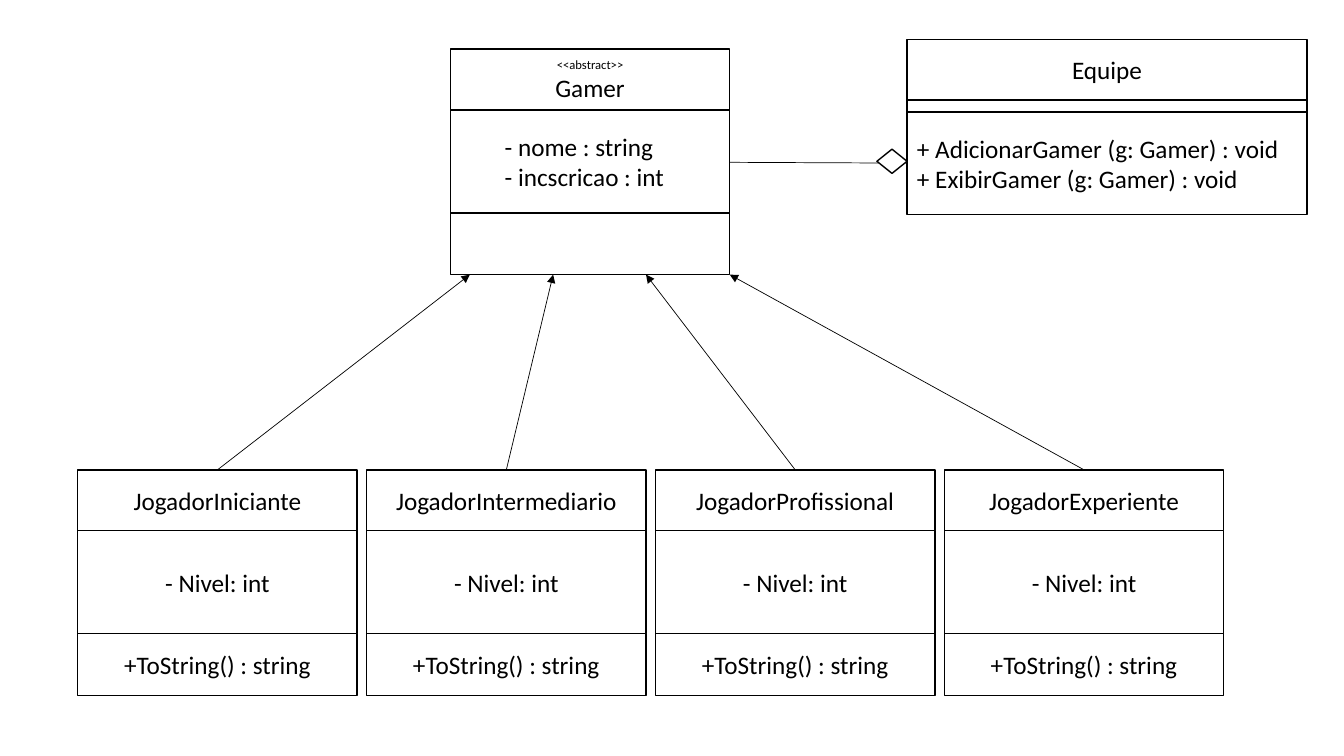
from dataclasses import dataclass

import pptx
import pptx.dml.color
import pptx.enum.shapes
import pptx.enum.text
import pptx.oxml.ns
import pptx.util
from lxml import etree

Cm = pptx.util.Cm
Pt = pptx.util.Pt
Kind = pptx.enum.shapes.MSO_SHAPE
Align = pptx.enum.text.PP_ALIGN

COLOURS = {"paper": "FFFFFF", "ink": "000000"}
FONT = "Calibri"
TEXT_SIZE, STEREOTYPE_SIZE = 18, 9
PADDING = 0.25  # cm


@dataclass(frozen=True)
class Section:
    height: float
    lines: tuple[str, ...] = ()
    align: Align = Align.CENTER
    indent: float = 0


@dataclass(frozen=True)
class ClassBox:
    left: float
    top: float
    width: float
    sections: tuple[Section, ...]


@dataclass(frozen=True)
class Link:
    start: tuple[float, float]
    end: tuple[float, float]
    arrow: bool = False


def colour(name: str) -> pptx.dml.color.RGBColor:
    return pptx.dml.color.RGBColor.from_string(COLOURS[name])


def draw_outline(page, kind: Kind, left: float, top: float, width: float, height: float):
    box = page.shapes.add_shape(kind, Cm(left), Cm(top), Cm(width), Cm(height))
    box.shadow.inherit = False
    box.fill.solid()
    box.fill.fore_color.rgb = colour("paper")
    box.line.color.rgb = colour("ink")
    box.line.width = Pt(1)
    return box


def write_lines(box, section: Section) -> None:
    frame = box.text_frame
    frame.word_wrap = True
    frame.vertical_anchor = pptx.enum.text.MSO_ANCHOR.MIDDLE
    frame.margin_left = Cm(PADDING + section.indent)
    frame.text = "\n".join(section.lines)
    for para in frame.paragraphs:
        para.alignment = section.align
        para.font.name = FONT
        para.font.size = Pt(STEREOTYPE_SIZE if para.text.startswith("<<") else TEXT_SIZE)
        para.font.color.rgb = colour("ink")


def draw_class(page, item: ClassBox) -> None:
    top = item.top
    for section in item.sections:
        box = draw_outline(page, Kind.RECTANGLE, item.left, top, item.width, section.height)
        if section.lines:
            write_lines(box, section)
        top += section.height


def draw_link(page, link: Link) -> None:
    line = page.shapes.add_connector(
        pptx.enum.shapes.MSO_CONNECTOR.STRAIGHT, *(Cm(value) for value in link.start + link.end)
    )
    line.line.color.rgb = colour("ink")
    line.line.width = Pt(0.5)
    if link.arrow:
        etree.SubElement(line.line._get_or_add_ln(), pptx.oxml.ns.qn("a:tailEnd"), type="triangle")
    etree.SubElement(line._element.spPr, pptx.oxml.ns.qn("a:effectLst"))


deck = pptx.Presentation()
deck.slide_width, deck.slide_height = Cm(33.87), Cm(19.05)
page = deck.slides.add_slide(deck.slide_layouts[6])

# Shared measures, in centimetres
NAME_HEIGHT, FIELDS_HEIGHT, METHODS_HEIGHT = 1.53, 2.6, 1.55
CLASS_WIDTH = 7.04
GAMER_LEFT, GAMER_TOP = 11.35, 1.24
GAMER_RIGHT = GAMER_LEFT + CLASS_WIDTH
GAMER_BOTTOM = GAMER_TOP + NAME_HEIGHT + FIELDS_HEIGHT + METHODS_HEIGHT
PLAYER_LEFT, PLAYER_TOP, PLAYER_PITCH = 1.96, 11.84, 7.28
TEAM_LEFT = 22.86

# Abstract base class
draw_class(page, ClassBox(GAMER_LEFT, GAMER_TOP, CLASS_WIDTH, (
    Section(NAME_HEIGHT, ("<<abstract>>", "Gamer")),
    Section(FIELDS_HEIGHT, ("- nome : string", "- incscricao : int"), Align.LEFT, 1.12),
    Section(METHODS_HEIGHT),
)))

# Player subclasses, each with its inheritance arrow
PLAYERS = {
    "JogadorIniciante": 11.84,
    "JogadorIntermediario": 13.94,
    "JogadorProfissional": 16.28,
    "JogadorExperiente": GAMER_RIGHT,
}
for index, (name, arrow_end) in enumerate(PLAYERS.items()):
    left = PLAYER_LEFT + index * PLAYER_PITCH
    draw_class(page, ClassBox(left, PLAYER_TOP, CLASS_WIDTH, (
        Section(NAME_HEIGHT, (name,)),
        Section(FIELDS_HEIGHT, ("- Nivel: int",)),
        Section(METHODS_HEIGHT, ("+ToString() : string",)),
    )))
    middle = left + CLASS_WIDTH / 2
    draw_link(page, Link((middle, PLAYER_TOP), (arrow_end, GAMER_BOTTOM), arrow=True))

# Team class
draw_class(page, ClassBox(TEAM_LEFT, 0.99, 10.08, (
    Section(NAME_HEIGHT, ("Equipe",)),
    Section(0.3),
    Section(2.59, ("+ AdicionarGamer (g: Gamer) : void", "+ ExibirGamer (g: Gamer) : void"), Align.LEFT),
)))

# Aggregation between Gamer and Equipe
draw_link(page, Link((GAMER_RIGHT, 4.09), (TEAM_LEFT, 4.11)))
DIAMOND_WIDTH = 0.76
draw_outline(page, Kind.DIAMOND, TEAM_LEFT - DIAMOND_WIDTH, 3.76, DIAMOND_WIDTH, 0.61)

deck.save("out.pptx")
